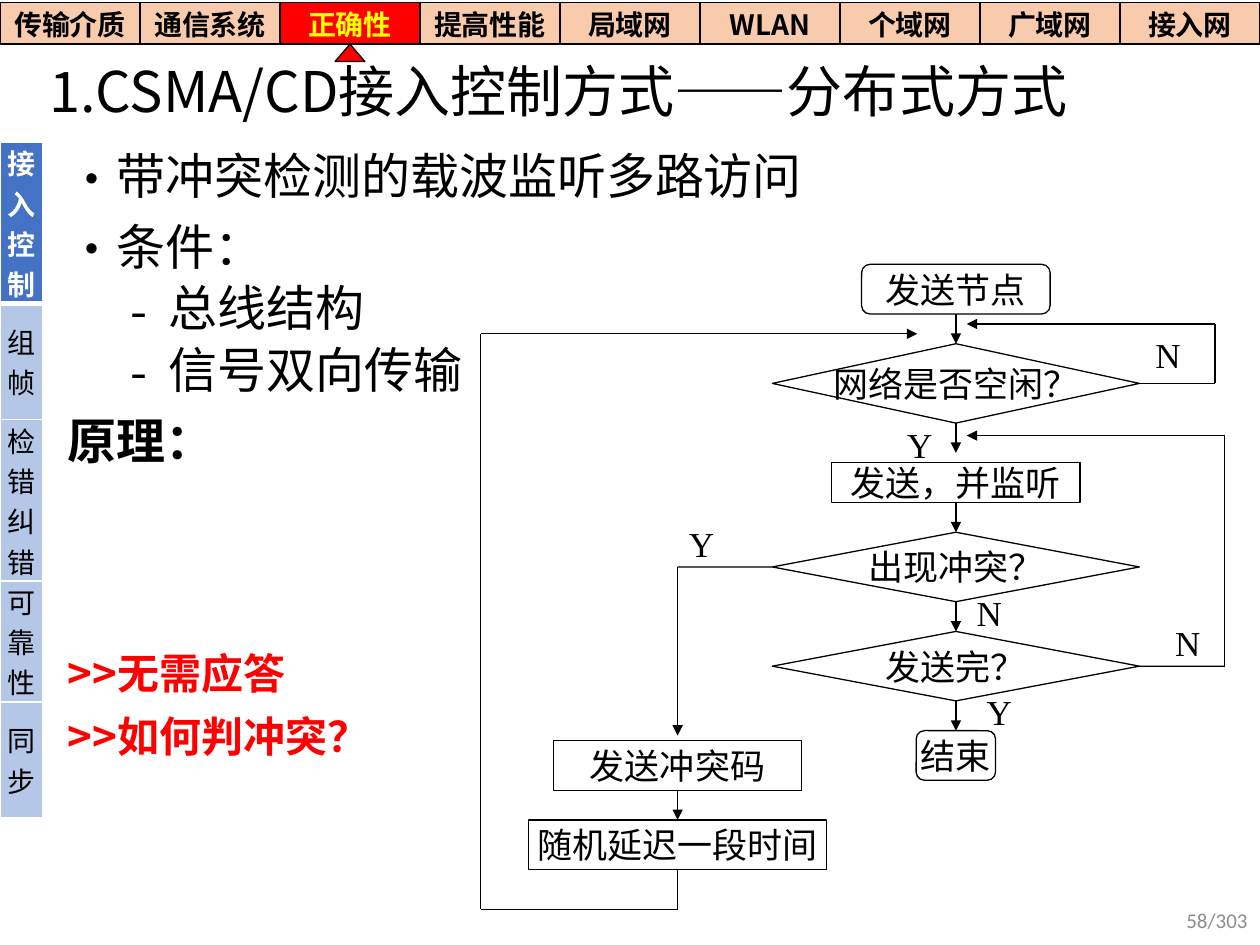
from dataclasses import dataclass

from lxml import etree
from pptx import Presentation
from pptx import util as u
from pptx.dml.color import RGBColor
from pptx.enum import shapes, text
from pptx.oxml import ns

Cm, Pt = u.Cm, u.Pt
Shape = shapes.MSO_SHAPE
Align = text.PP_ALIGN
MIDDLE = text.MSO_ANCHOR.MIDDLE


@dataclass(frozen=True)
class Theme:
    black: str = "000000"
    white: str = "FFFFFF"
    red: str = "FF0000"
    yellow: str = "FFFF00"
    gray: str = "8C8C8C"
    peach: str = "F8CBAD"
    blue: str = "4472C4"
    pale_blue: str = "B4C7E7"
    cjk: str = "Noto Sans CJK SC"
    serif: str = "Times New Roman"
    sans: str = "Calibri"
    title: int = 32
    body: int = 28
    note: int = 24
    flow: int = 20
    tab: int = 16
    page: int = 12
    line: float = 0.75


T = Theme()
TABS = ["传输介质", "通信系统", "正确性", "提高性能", "局域网", "WLAN", "个域网", "广域网", "接入网"]
TOPICS = {"接入控制": 3.25, "组帧": 2.34, "检错纠错": 3.25, "可靠性": 2.44, "同步": 2.34}


def child(parent, tag, **attrs):
    return etree.SubElement(parent, ns.qn(tag), attrs)


def style(p, size, font=T.cjk, color=T.black, bold=False):
    for r in p.runs:
        f = r.font
        f.size, f.bold, f.name = Pt(size), bold, font
        f.color.rgb = RGBColor.from_string(color)
        child(r._r.get_or_add_rPr(), "a:ea", typeface=T.cjk)


def text_box(s, x, y, w, h, inset=None):
    tf = s.shapes.add_textbox(Cm(x), Cm(y), Cm(w), Cm(h)).text_frame
    tf.word_wrap = True
    if inset is not None:
        tf.margin_left = tf.margin_right = tf.margin_top = tf.margin_bottom = Cm(inset)
    return tf


def outlined(s, kind, x, y, w, h, fill=None):
    sp = s.shapes.add_shape(kind, Cm(x), Cm(y), Cm(w), Cm(h))
    sp.shadow.inherit = False
    if fill:
        sp.fill.solid()
        sp.fill.fore_color.rgb = RGBColor.from_string(fill)
    else:
        sp.fill.background()
    sp.line.color.rgb = RGBColor.from_string(T.black)
    sp.line.width = Pt(T.line)
    return sp


def grid(s, x, y, w, h, rows, cols):
    table = s.shapes.add_table(rows, cols, Cm(x), Cm(y), Cm(w), Cm(h)).table
    table.first_row = table.horz_banding = False
    return table


def fill_cell(cell, label, fill, color, bold, border, bottom=1):
    cell.margin_left = cell.margin_right = cell.margin_top = cell.margin_bottom = 0
    cell.vertical_anchor = MIDDLE
    tcPr = cell._tc.get_or_add_tcPr()
    for side, width in zip("LRTB", (1, 1, 1, bottom)):
        ln = child(tcPr, f"a:ln{side}", w=str(Pt(width)))
        child(child(ln, "a:solidFill"), "a:srgbClr", val=border)
    cell.fill.solid()
    cell.fill.fore_color.rgb = RGBColor.from_string(fill)
    p = cell.text_frame.paragraphs[0]
    p.text = label
    p.alignment = Align.CENTER
    style(p, T.tab, color=color, bold=bold)


def nav_bar(s, x, y, w, h, current=2):
    table = grid(s, x, y, w, h, 1, len(TABS))
    for i, label in enumerate(TABS):
        on = i == current
        fill_cell(table.cell(0, i), label, T.red if on else T.peach,
                  T.yellow if on else T.black, True, T.black)
    center = x + (current + 0.5) * w / len(TABS)
    outlined(s, Shape.FLOWCHART_EXTRACT, center - 0.3, y + h, 0.6, 0.35, T.red)


def side_bar(s, x, y, w, current=0):
    table = grid(s, x, y, w, sum(TOPICS.values()), len(TOPICS), 1)
    for i, (label, height) in enumerate(TOPICS.items()):
        on = i == current
        table.rows[i].height = Cm(height)
        fill_cell(table.cell(i, 0), label, T.blue if on else T.pale_blue,
                  T.white if on else T.black, on, T.white, 3 if on else 1)


def title(s, x, y, w, h):
    tf = text_box(s, x, y, w, h)
    tf.vertical_anchor = MIDDLE
    p = tf.paragraphs[0]
    p.text = "1.CSMA/CD接入控制方式——分布式方式"
    p.line_spacing = 0.9
    style(p, T.title)


def body(s, x, y, w, h):
    tf = text_box(s, x, y, w, h)
    top, sub = ("•", 0.64, 0.64), ("-", 2.03, 0.76)
    plain = dict(size=T.body)
    note = dict(size=T.note, color=T.red, bold=True)
    lines = [
        ("带冲突检测的载波监听多路访问", top, 0, plain),
        ("条件：", top, 10, plain),
        ("总线结构", sub, 5, plain),
        ("信号双向传输", sub, 5, plain),
        ("原理：", None, 10, dict(size=T.body, bold=True)),
        (">>无需应答", None, 105, note),
        (">>如何判冲突？", None, 10, note),
    ]
    for i, (label, bullet, gap, look) in enumerate(lines):
        p = tf.add_paragraph() if i else tf.paragraphs[0]
        p.text = label
        if bullet:
            mark, left, hang = bullet
            pPr = p._p.get_or_add_pPr()
            pPr.set("marL", str(Cm(left)))
            pPr.set("indent", str(-Cm(hang)))
            child(pPr, "a:buFont", typeface=T.cjk)
            child(pPr, "a:buChar", char=mark)
        p.line_spacing = 0.9
        p.space_before = Pt(gap)
        style(p, **look)


def route(s, x, y, points, begin=None, end=None):
    last = len(points) - 2
    for i, ((x1, y1), (x2, y2)) in enumerate(zip(points, points[1:])):
        c = s.shapes.add_connector(shapes.MSO_CONNECTOR.STRAIGHT,
                                   Cm(x + x1), Cm(y + y1), Cm(x + x2), Cm(y + y2))
        c.line.color.rgb = RGBColor.from_string(T.black)
        c.line.width = Pt(T.line)
        if i == last:
            child(c.line._get_or_add_ln(), "a:tailEnd", type="triangle")
        child(c._element.spPr, "a:effectLst")
        if i == 0 and begin:
            c.begin_connect(*begin)
        if i == last and end:
            c.end_connect(*end)


def flowchart(s, x, y):
    main, branch = 9.58, 3.97
    rounded, box, test = (Shape.FLOWCHART_ALTERNATE_PROCESS, Shape.FLOWCHART_PROCESS,
                          Shape.FLOWCHART_DECISION)

    def node(kind, label, center, top, w, h):
        sp = outlined(s, kind, x + center - w / 2, y + top, w, h)
        tf = sp.text_frame
        tf.word_wrap = False
        tf.vertical_anchor = MIDDLE
        p = tf.paragraphs[0]
        p.text = label
        p.alignment = Align.CENTER
        style(p, T.flow, T.serif)
        return sp

    start = node(rounded, "发送节点", main, 0, 3.8, 1)
    idle = node(test, "网络是否空闲？", main, 1.6, 7.4, 1.6)
    send = node(box, "发送，并监听", main, 4, 5, 0.8)
    clash = node(test, "出现冲突？", main, 5.4, 7.4, 1.4)
    done = node(test, "发送完？", main, 7.4, 7.4, 1.4)
    end = node(rounded, "结束", main, 9.4, 1.6, 1)
    jam = node(box, "发送冲突码", branch, 9.6, 5, 1)
    delay = node(box, "随机延迟一段时间", branch, 11.2, 6, 1)

    for a, b, axis, top in [(start, idle, main, 1), (send, clash, main, 4.8),
                            (clash, done, main, 6.8), (done, end, main, 8.8),
                            (jam, delay, branch, 10.6)]:
        route(s, x, y, [(axis, top), (axis, top + 0.6)], (a, 2), (b, 0))
    route(s, x, y, [(main, 3.2), (main, 3.8)], (idle, 2))

    right, left = main + 3.7, main - 3.7
    route(s, x, y, [(right, 2.4), (14.8, 2.4), (14.8, 1.2), (9.8, 1.2)], (idle, 3))
    route(s, x, y, [(right, 8.1), (15, 8.1), (15, 3.45), (9.8, 3.45)], (done, 3))
    route(s, x, y, [(left, 6.1), (branch, 6.1), (branch, 9.5)], (clash, 1))
    route(s, x, y, [(branch, 12.2), (branch, 13), (0, 13), (0, 1.4), (8.8, 1.4)], (delay, 2))

    for label, lx, ly in [("N", 13.6, 1.4), ("Y", 8.6, 3.2), ("Y", 4.2, 5.2),
                          ("N", 10, 6.6), ("N", 14, 7.2), ("Y", 10.2, 8.6)]:
        p = text_box(s, x + lx, y + ly, 0.6, 0.84, 0).paragraphs[0]
        p.text = label
        style(p, T.flow, T.serif)


def page_number(s, x, y, w, h):
    tf = text_box(s, x, y, w, h)
    tf.vertical_anchor = MIDDLE
    p = tf.paragraphs[0]
    p.text = "58/303"
    p.alignment = Align.RIGHT
    style(p, T.page, T.sans, T.gray)


def main():
    prs = Presentation()
    prs.slide_width, prs.slide_height = Cm(25.4), Cm(19.05)
    s = prs.slides.add_slide(prs.slide_layouts[6])
    title(s, 0.74, 0.97, 24.05, 1.88)
    body(s, 1.12, 2.95, 23.65, 15.11)
    side_bar(s, 0, 2.87, 0.86)
    nav_bar(s, 0, 0.05, 25.4, 0.84)
    flowchart(s, 9.69, 5.33)
    page_number(s, 19.69, 18.03, 5.71, 1.02)
    prs.save("out.pptx")


if __name__ == "__main__":
    main()
